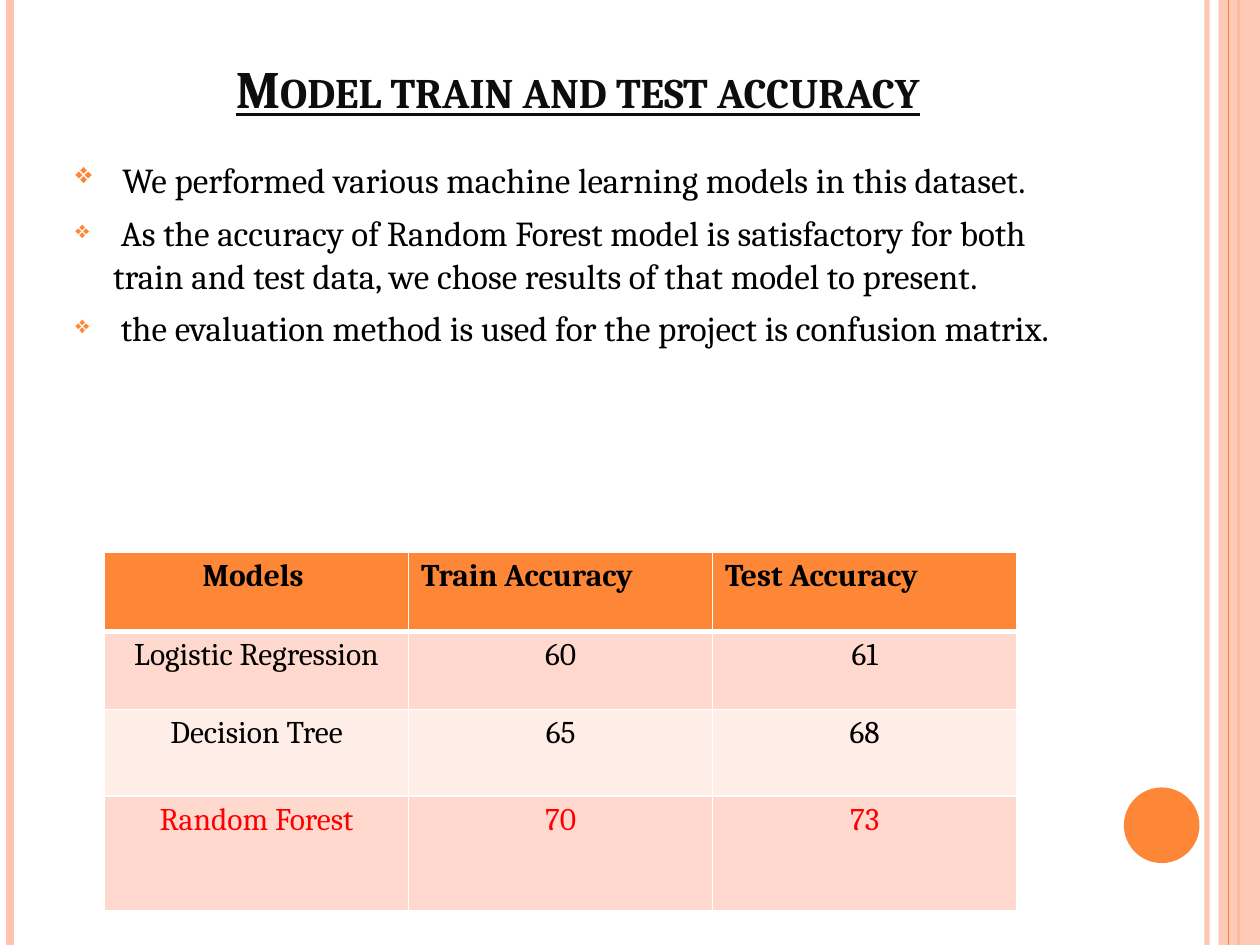
from lxml import etree
from pptx import Presentation
from pptx.dml.color import RGBColor
from pptx.enum.shapes import MSO_CONNECTOR, MSO_SHAPE
from pptx.enum.text import MSO_ANCHOR, PP_ALIGN
from pptx.oxml import parse_xml
from pptx.oxml.ns import nsdecls, qn
from pptx.util import Inches, Pt

WIDTH, HEIGHT = 10, 7.5
FONT = "Cambria"
COLORS = {
    "orange": "FE8637", "peach": "FEC3AE", "band": "FFD9CE", "light": "FFEDE8",
    "white": "FFFFFF", "black": "000000", "title": "0D0D0D", "red": "FF0000",
}
BULLETS = [
    "We performed various machine learning models in this dataset.",
    "As the accuracy of Random Forest model is satisfactory for both train "
    "and test data, we chose results of that model to present.",
    "the evaluation method is used for the project is confusion matrix.",
]
ACCURACY = [
    ("Models ", "Train Accuracy", "Test Accuracy"),
    ("Logistic Regression", "60", "61"),
    ("Decision Tree", "65", "68"),
    ("Random Forest", "70", "73"),
]
ROW_FILLS = ["orange", "band", "light", "band"]
ROW_HEIGHTS = [0.63, 0.62, 0.69, 0.91]


def color(name):
    return RGBColor.from_string(COLORS[name])


def set_font(font, size, name, bold=False):
    font.name, font.size, font.bold = FONT, Pt(size), bold
    font.color.rgb = color(name)


def set_alpha(part, percent):
    tint = next(part._element.spPr.iter(qn("a:srgbClr")))
    etree.SubElement(tint, qn("a:alpha")).set("val", str(percent * 1000))


def add_stripe(page, x, width, name):
    stripe = page.shapes.add_connector(
        MSO_CONNECTOR.STRAIGHT, Inches(x), 0, Inches(x), Inches(HEIGHT))
    stripe.line.width = Pt(width)
    stripe.line.color.rgb = color(name)
    etree.SubElement(stripe._element.spPr, qn("a:effectLst"))
    return stripe


def add_solid(page, kind, box, name):
    solid = page.shapes.add_shape(kind, *map(Inches, box))
    solid.shadow.inherit = False
    solid.fill.solid()
    solid.fill.fore_color.rgb = color(name)
    solid.line.fill.background()
    return solid


def add_frame(page):
    # Edge stripes, right band and circle
    set_alpha(add_stripe(page, 9.58, 3, "peach"), 93)
    add_stripe(page, 0.08, 4.5, "peach")
    add_stripe(page, 9.83, 1.5, "orange")
    band = (9.67, 0, WIDTH - 9.67, HEIGHT)
    set_alpha(add_solid(page, MSO_SHAPE.RECTANGLE, band, "peach"), 87)
    add_stripe(page, 9.75, 0.75, "orange")
    add_solid(page, MSO_SHAPE.OVAL, (8.92, 6.25, 0.6, 0.6), "orange")


def add_text_frame(page, box):
    frame = page.shapes.add_textbox(*map(Inches, box)).text_frame
    frame.word_wrap = True
    return frame


def add_title(page, box):
    frame = add_text_frame(page, box)
    frame.vertical_anchor = MSO_ANCHOR.BOTTOM
    para = frame.paragraphs[0]
    para.alignment = PP_ALIGN.CENTER
    span = para.add_run()
    span.text = "Model train and test accuracy"
    set_font(span.font, 30, "title", bold=True)
    span.font.underline = True
    span._r.get_or_add_rPr().set("cap", "small")


def add_bullets(page, box):
    frame = add_text_frame(page, box)
    for index, text in enumerate(BULLETS):
        para = frame.add_paragraph() if index else frame.paragraphs[0]
        para.space_before = Pt(6)
        # The first bullet and its leading space are larger
        for part, size in ((" ", 20 if index else 24), (text, 20)):
            span = para.add_run()
            span.text = part
            set_font(span.font, size, "black")
        props = para._p.get_or_add_pPr()
        props.set("marL", str(Inches(0.3)))
        props.set("indent", str(-Inches(0.3)))
        for mark in (
            f'<a:buClr {nsdecls("a")}><a:srgbClr val="{COLORS["orange"]}"/></a:buClr>',
            f'<a:buSzPct {nsdecls("a")} val="70000"/>',
            f'<a:buChar {nsdecls("a")} char="❖"/>',
        ):
            props.append(parse_xml(mark))


def add_borders(cell, top, bottom):
    widths = {"lnL": 1, "lnR": 1, "lnT": top, "lnB": bottom}
    for index, (side, width) in enumerate(widths.items()):
        cell._tc.get_or_add_tcPr().insert(index, parse_xml(
            f'<a:{side} {nsdecls("a")} w="{Pt(width)}"><a:solidFill>'
            f'<a:srgbClr val="{COLORS["white"]}"/></a:solidFill></a:{side}>'))


def add_accuracy_table(page, left, top, width):
    columns = len(ACCURACY[0])
    table = page.shapes.add_table(
        len(ACCURACY), columns, Inches(left), Inches(top),
        Inches(width), Inches(sum(ROW_HEIGHTS))).table
    for column in table.columns:
        column.width = Inches(width / columns)
    for r, values in enumerate(ACCURACY):
        table.rows[r].height = Inches(ROW_HEIGHTS[r])
        ink = "red" if r == len(ACCURACY) - 1 else "black"
        for c, value in enumerate(values):
            cell = table.cell(r, c)
            cell.text = value
            cell.fill.solid()
            cell.fill.fore_color.rgb = color(ROW_FILLS[r])
            para = cell.text_frame.paragraphs[0]
            para.alignment = PP_ALIGN.CENTER if r or c == 0 else PP_ALIGN.LEFT
            set_font(para.font, 18, ink, bold=r == 0)
            add_borders(cell, 3 if r == 1 else 1, 3 if r == 0 else 1)


def main():
    deck = Presentation()
    deck.slide_width, deck.slide_height = Inches(WIDTH), Inches(HEIGHT)
    page = deck.slides.add_slide(deck.slide_layouts[6])
    add_frame(page)
    add_title(page, (0.5, 0.3, 8.17, 0.69))
    add_bullets(page, (0.5, 1.15, 8.17, 5.93))
    add_accuracy_table(page, 0.83, 4.38, 7.24)
    deck.save("out.pptx")


if __name__ == "__main__":
    main()
